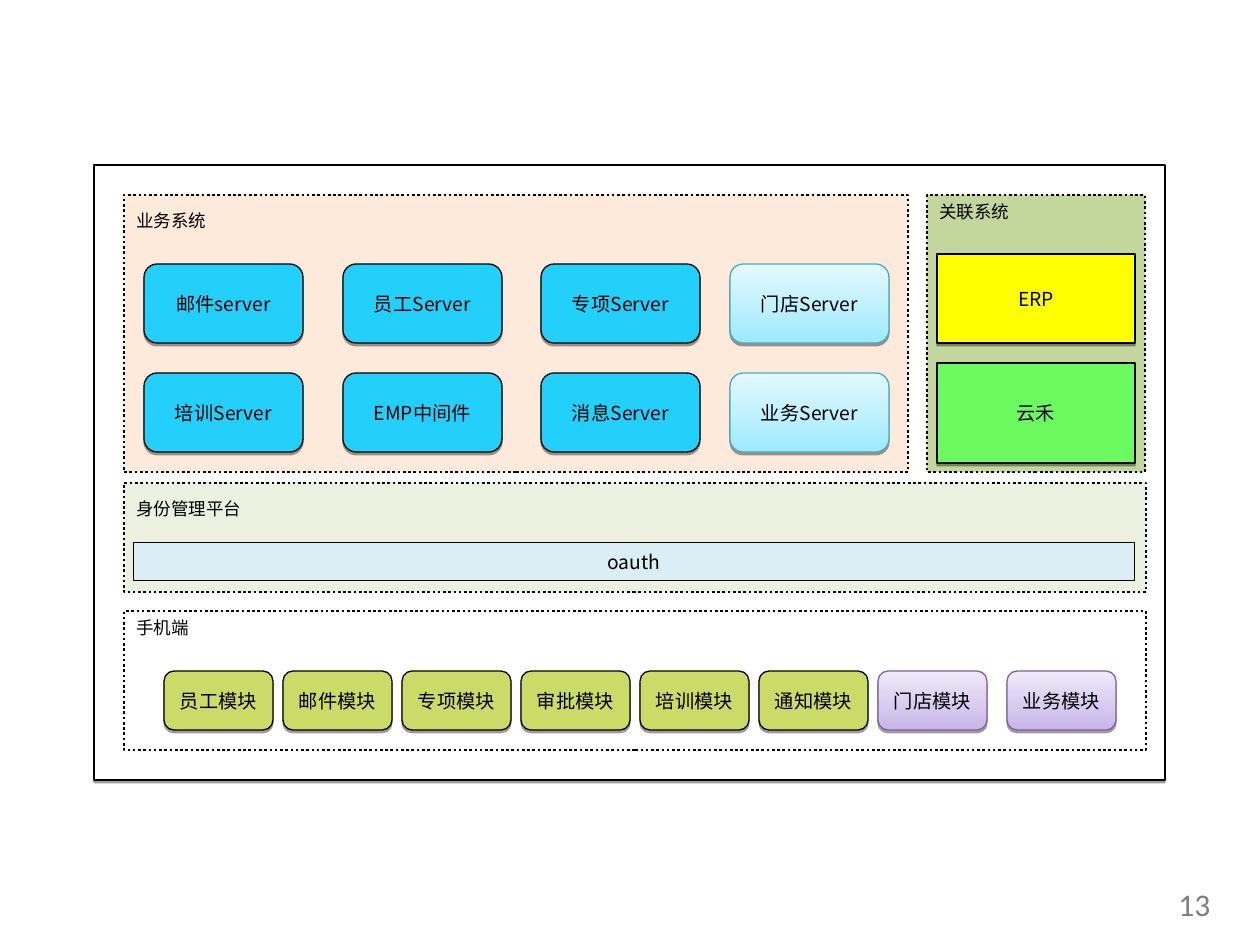
from lxml import etree
from pptx import Presentation
from pptx.dml.color import RGBColor
from pptx.enum.dml import MSO_LINE
from pptx.enum.shapes import MSO_SHAPE
from pptx.enum.text import MSO_ANCHOR, PP_ALIGN
from pptx.oxml.ns import qn
from pptx.util import Emu, Pt

RECT = MSO_SHAPE.RECTANGLE
ROUND = MSO_SHAPE.ROUNDED_RECTANGLE
DOTTED = MSO_LINE.ROUND_DOT
CENTER = PP_ALIGN.CENTER
LEFT = PP_ALIGN.LEFT
MIDDLE = MSO_ANCHOR.MIDDLE
SCALE = 914400 / 126
CJK_FONT = "Noto Sans CJK SC"
COLORS = {
    "black": "000000", "white": "FFFFFF", "gray": "7F7F7F",
    "peach": "FDEADA", "olive": "C3D69B", "pale green": "EBF1DE",
    "pale blue": "DBEEF4", "blue": "23D0FB", "lime": "CADB67",
    "yellow": "FFFF00", "green": "6BFA60",
    "aqua low": "9EEAFF", "aqua high": "E4F9FF", "aqua line": "46AAC5",
    "violet low": "C9B5E8", "violet high": "F0EAF9", "violet line": "7D60A0",
}
COLORS = {name: RGBColor.from_string(value) for name, value in COLORS.items()}


def write(shape, text, size, align, font=CJK_FONT, color="black"):
    shape.text_frame.word_wrap = True
    para = shape.text_frame.paragraphs[0]
    para.alignment = align
    span = para.add_run()
    span.text = text
    span.font.size = Pt(size)
    span.font.color.rgb = COLORS[color]
    span.font.name = font
    etree.SubElement(span.font._element, qn("a:ea"), typeface=font)


def add_box(kind, bounds, fill, text="", width=0.75, shadow=True):
    box = page.shapes.add_shape(kind, *[Emu(round(v * SCALE)) for v in bounds])
    box.shadow.inherit = False
    line = "black"
    if fill in ("aqua", "violet"):
        line = fill + " line"
        box.fill.gradient()
        box.fill.gradient_angle = 90
        for stop, end in zip(box.fill.gradient_stops, (" low", " high")):
            stop.color.rgb = COLORS[fill + end]
    elif fill:
        box.fill.solid()
        box.fill.fore_color.rgb = COLORS[fill]
    else:
        box.fill.background()
    box.line.color.rgb = COLORS[line]
    box.line.width = Pt(width)
    if shadow:
        effects = box._element.spPr.find(qn("a:effectLst"))
        outer = etree.SubElement(effects, qn("a:outerShdw"), blurRad="0",
                                 dist="20000", dir="5400000", rotWithShape="0")
        tone = etree.SubElement(outer, qn("a:srgbClr"), val="000000")
        etree.SubElement(tone, qn("a:alpha"), val="38000")
    if text:
        box.text_frame.vertical_anchor = MIDDLE
        write(box, text, 11, CENTER)
    return box


deck = Presentation()
deck.slide_width = Emu(round(1260 * SCALE))
deck.slide_height = Emu(round(945 * SCALE))
page = deck.slides.add_slide(deck.slide_layouts[6])

add_box(RECT, (94, 165, 1071, 615), "white")

panels = [
    ("业务系统", (124, 195, 784, 277), "peach", 204, 129),
    ("关联系统", (927, 195, 218, 277), "olive", 195, 129),
    ("身份管理平台", (124, 483, 1022, 109), "pale green", 492, 159),
    ("手机端", (124, 611, 1022, 139), None, 611, 100),
]
for title, bounds, fill, top, width in panels:
    panel = add_box(RECT, bounds, fill, width=1.5, shadow=False)
    panel.line.dash_style = DOTTED
    label = page.shapes.add_textbox(
        *[Emu(round(v * SCALE)) for v in (bounds[0], top, width, 34)])
    write(label, title, 10, LEFT)

servers = [
    (144, "blue", ("邮件server", "培训Server")),
    (343, "blue", ("员工Server", "EMP中间件")),
    (541, "blue", ("专项Server", "消息Server")),
    (730, "aqua", ("门店Server", "业务Server")),
]
for left, fill, names in servers:
    for top, name in zip((264, 373), names):
        add_box(ROUND, (left, top, 159, 79), fill, name)

add_box(RECT, (937, 254, 198, 89), "yellow", "ERP")
add_box(RECT, (937, 363, 198, 100), "green", "云禾")
add_box(RECT, (133, 542, 1002, 39), "pale blue", "oauth", 0.5, False)

modules = ["员工模块", "邮件模块", "专项模块", "审批模块", "培训模块", "通知模块"]
for index, name in enumerate(modules):
    add_box(ROUND, (164 + 119 * index, 671, 109, 59), "lime", name)
for left, name in ((878, "门店模块"), (1007, "业务模块")):
    add_box(ROUND, (left, 671, 109, 59), "violet", name)

number = page.shapes.add_textbox(
    *[Emu(round(v * SCALE)) for v in (1166, 879, 73, 50)])
write(number, "13", 18, LEFT, "Calibri", "gray")

deck.save("out.pptx")
